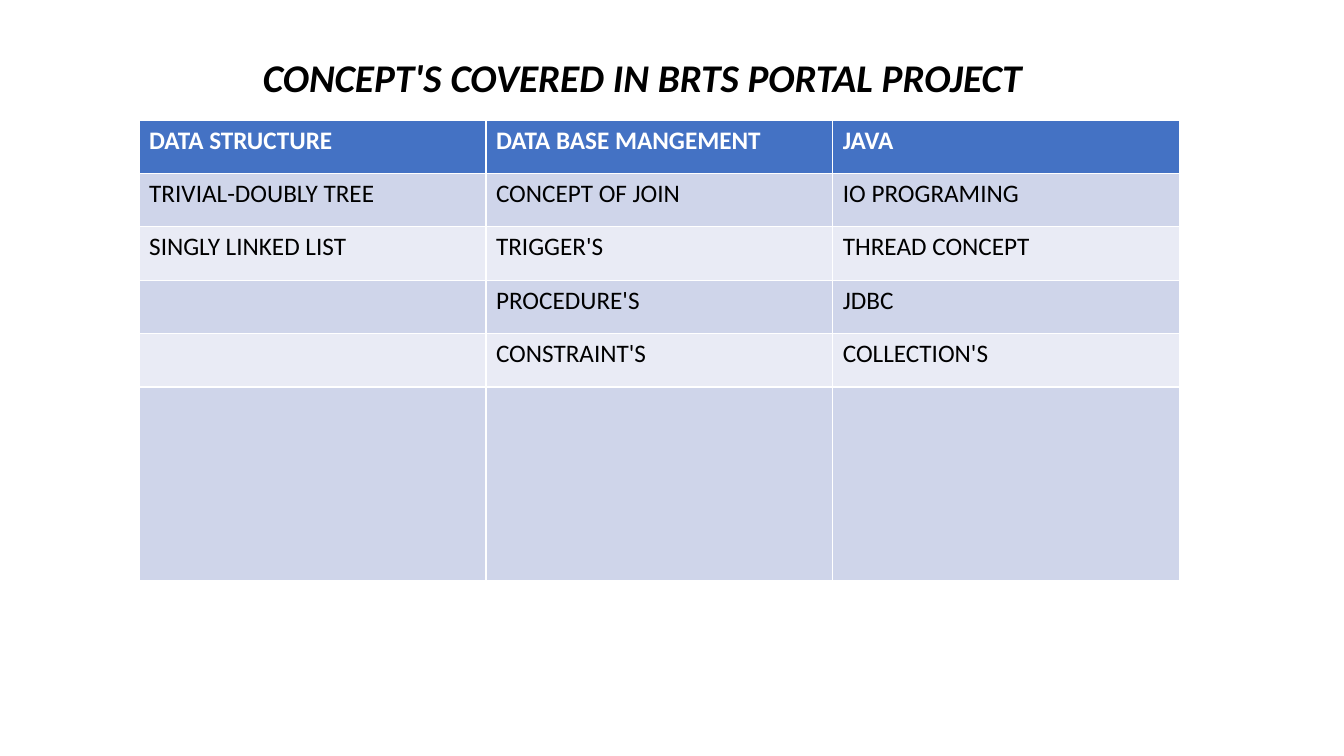
from pptx import Presentation
from pptx import util as u
from pptx.dml.color import RGBColor

WHITE = RGBColor(0xFF, 0xFF, 0xFF)
BLACK = RGBColor(0x00, 0x00, 0x00)
HEADER_BLUE = RGBColor(0x44, 0x72, 0xC4)
BAND_DARK = RGBColor(0xCF, 0xD5, 0xEA)
BAND_LIGHT = RGBColor(0xE9, 0xEB, 0xF5)

TITLE = "CONCEPT'S COVERED IN BRTS PORTAL PROJECT"
CONCEPTS = [
    ("DATA STRUCTURE", "DATA BASE MANGEMENT", "JAVA"),
    ("TRIVIAL-DOUBLY TREE", "CONCEPT OF JOIN", "IO PROGRAMING"),
    ("SINGLY LINKED LIST", "TRIGGER'S", "THREAD CONCEPT"),
    ("", "PROCEDURE'S", "JDBC"),
    ("", "CONSTRAINT'S", "COLLECTION'S"),
    ("", "", ""),
]
ROW_HEIGHT = 0.53


def write_text(text_frame, text, size=18, color=BLACK, bold=False, italic=False):
    run = text_frame.paragraphs[0].add_run()
    run.text = text
    font = run.font
    font.name = "Calibri"
    font.size = u.Pt(size)
    font.color.rgb = color
    font.bold = bold
    font.italic = italic


def add_title(slide, left, top, width, height):
    title_box = slide.shapes.add_textbox(*map(u.Inches, (left, top, width, height)))
    title_box.text_frame.word_wrap = True
    write_text(title_box.text_frame, TITLE, size=28, bold=True, italic=True)


def add_concept_table(slide, left, top, width, height):
    row_count, column_count = len(CONCEPTS), len(CONCEPTS[0])
    box = map(u.Inches, (left, top, width, height))
    table = slide.shapes.add_table(row_count, column_count, *box).table
    for column in table.columns:
        column.width = u.Inches(width / column_count)
    for row in table.rows:
        row.height = u.Inches(ROW_HEIGHT)
    table.rows[row_count - 1].height = u.Inches(height - ROW_HEIGHT * (row_count - 1))

    for row_index, concepts in enumerate(CONCEPTS):
        is_header = row_index == 0
        band = BAND_DARK if row_index % 2 else BAND_LIGHT
        for column_index, concept in enumerate(concepts):
            cell = table.cell(row_index, column_index)
            cell.fill.solid()
            cell.fill.fore_color.rgb = HEADER_BLUE if is_header else band
            if concept:
                write_text(cell.text_frame, concept, bold=is_header,
                           color=WHITE if is_header else BLACK)


def main():
    presentation = Presentation()
    presentation.slide_width = u.Inches(13.33)
    presentation.slide_height = u.Inches(7.5)
    slide = presentation.slides.add_slide(presentation.slide_layouts[6])
    add_concept_table(slide, 1.38, 1.19, 10.32, 4.57)
    add_title(slide, 2.51, 0.48, 8.07, 0.57)
    presentation.save("out.pptx")


if __name__ == "__main__":
    main()
